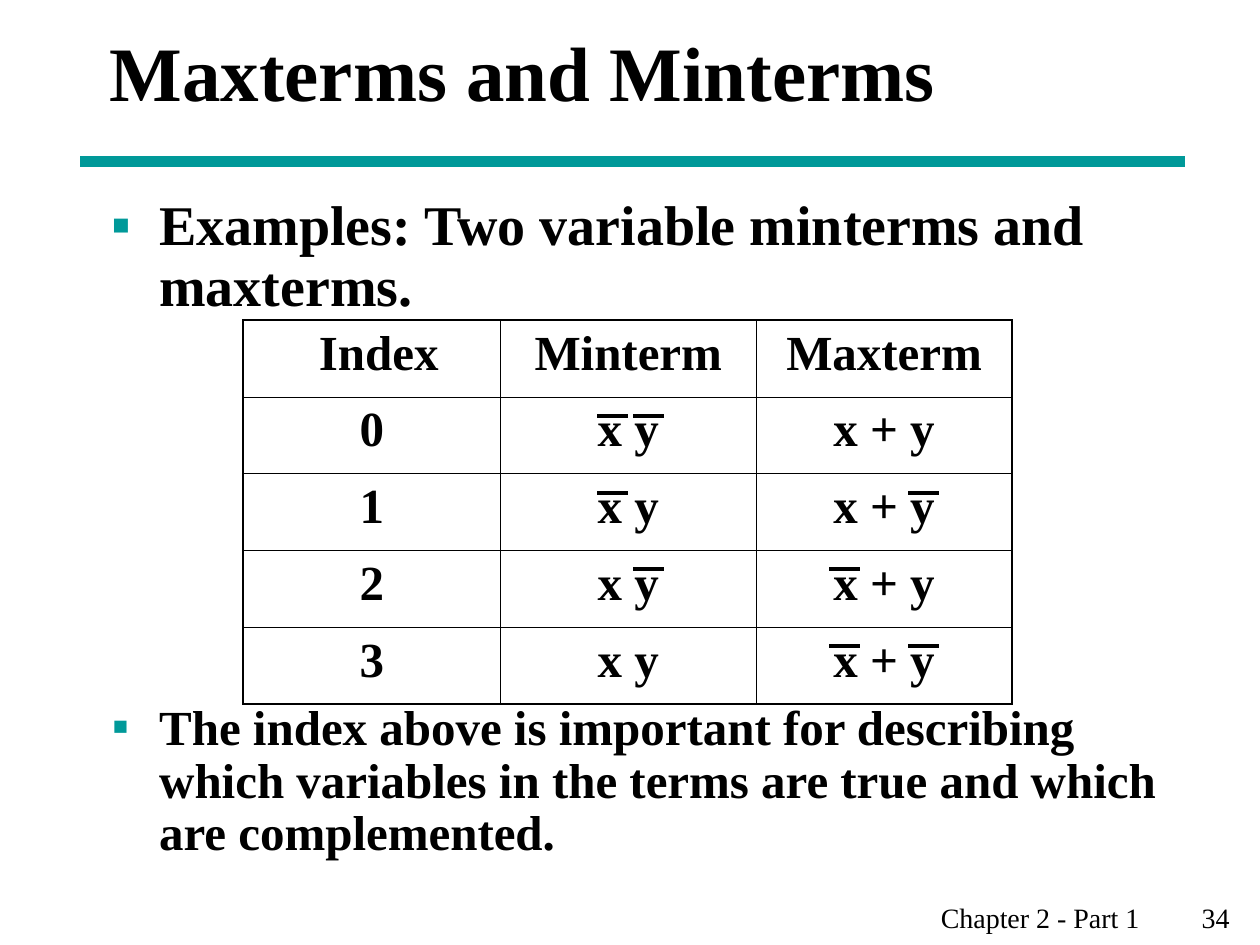
from lxml import etree
from pptx import Presentation
from pptx.dml.color import RGBColor
from pptx.enum.shapes import MSO_CONNECTOR
from pptx.enum.text import MSO_ANCHOR, PP_ALIGN
from pptx.oxml.ns import qn
from pptx.util import Pt

LINE = MSO_CONNECTOR.STRAIGHT
LEFT, CENTER = PP_ALIGN.LEFT, PP_ALIGN.CENTER
MIDDLE = MSO_ANCHOR.MIDDLE
FONT = "Times New Roman"
COLORS = {"text": "000000", "teal": "009999"}

TITLE = "Maxterms and Minterms"
# text, size, space before; the second gap leaves room for the table
POINTS = [
    ("Examples: Two variable minterms and maxterms.", 32, 8),
    ("The index above is important for describing which variables "
     "in the terms are true and which are complemented.", 28, 219.5),
]
HEADS = ["Index", "Minterm", "Maxterm"]
# index, complemented letters of the minterm, of the maxterm
TERMS = [("0", "xy", ""), ("1", "x", "y"), ("2", "y", "x"), ("3", "", "xy")]
FOOTER = ("Chapter 2 - Part 1", "34")

GRID = {"left": 139, "top": 182.9, "row": 43.9, "cols": [146.9, 146.2, 146.2]}
BAR = {"top": 237.6, "width": 17.3}
BAR_X = [{"x": 341.3, "y": 362}, {"x": 474, "y": 519}]  # minterm, maxterm


def add_run(par, text, size, bold=True):
    run = par.add_run()
    run.text = text
    font = run.font
    font.name, font.size, font.bold = FONT, Pt(size), bold
    font.color.rgb = RGBColor.from_string(COLORS["text"])


def add_box(slide, left, top, width, height):
    frame = slide.shapes.add_textbox(Pt(left), Pt(top), Pt(width), Pt(height)).text_frame
    frame.word_wrap = True
    return frame


def add_line(slide, left, top, width, weight, color):
    line = slide.shapes.add_connector(LINE, Pt(left), Pt(top), Pt(left + width), Pt(top))
    line.line.width = Pt(weight)
    line.line.color.rgb = RGBColor.from_string(COLORS[color])
    etree.SubElement(line._element.spPr, qn("a:effectLst"))


def add_bullet(par):
    props = par._p.get_or_add_pPr()
    props.set("marL", str(Pt(27)))
    props.set("indent", str(-Pt(27)))
    color = etree.SubElement(props, qn("a:buClr"))
    etree.SubElement(color, qn("a:srgbClr"), val=COLORS["teal"])
    etree.SubElement(props, qn("a:buFont"), typeface=FONT)
    etree.SubElement(props, qn("a:buChar"), char="▪")


def set_border(cell, weights):
    props = cell._tc.get_or_add_tcPr()
    for side, weight in weights.items():
        edge = etree.SubElement(props, qn("a:ln" + side), w=str(Pt(weight)))
        fill = etree.SubElement(edge, qn("a:solidFill"))
        etree.SubElement(fill, qn("a:srgbClr"), val=COLORS["text"])


def add_title(slide):
    title = slide.shapes.title
    title.left, title.top, title.width, title.height = Pt(55.4), Pt(0), Pt(612), Pt(80.6)
    title.text_frame.vertical_anchor = MIDDLE
    par = title.text_frame.paragraphs[0]
    par.alignment = LEFT
    add_run(par, TITLE, 44)


def add_points(slide):
    frame = add_box(slide, 56.9, 109.4, 612, 396)
    for i, (text, size, gap) in enumerate(POINTS):
        par = frame.add_paragraph() if i else frame.paragraphs[0]
        par.line_spacing, par.space_before = 0.9, Pt(gap)
        add_bullet(par)
        add_run(par, text, size)


def add_grid(slide):
    rows = [HEADS] + [(index, "x y", "x + y") for index, *_ in TERMS]
    cols, high = GRID["cols"], GRID["row"]
    shape = slide.shapes.add_table(len(rows), len(cols), Pt(GRID["left"]), Pt(GRID["top"]),
                                   Pt(sum(cols)), Pt(high * len(rows)))
    table = shape.table
    table.first_row = table.horz_banding = False
    for col, width in zip(table.columns, cols):
        col.width = Pt(width)
    for r, texts in enumerate(rows):
        table.rows[r].height = Pt(high)
        for c, text in enumerate(texts):
            cell = table.cell(r, c)
            outer = {"L": c == 0, "R": c == len(cols) - 1,
                     "T": r == 0, "B": r == len(rows) - 1}
            set_border(cell, {side: 1.08 if out else 0.45 for side, out in outer.items()})
            cell.fill.background()
            par = cell.text_frame.paragraphs[0]
            par.space_before = Pt(7)
            if text == HEADS[0]:
                par._p.get_or_add_pPr().set("marL", str(Pt(36)))
            else:
                par.alignment = CENTER
            add_run(par, text, 28)


def add_bars(slide):
    for r, (_, *terms) in enumerate(TERMS):
        for spots, letters in zip(BAR_X, terms):
            for letter in letters:
                add_line(slide, spots[letter], BAR["top"] + r * GRID["row"],
                         BAR["width"], 2.25, "text")


def add_footer(slide):
    par = add_box(slide, 530.6, 511.2, 187.2, 26.6).paragraphs[0]
    tabs = etree.SubElement(par._p.get_or_add_pPr(), qn("a:tabLst"))
    etree.SubElement(tabs, qn("a:tab"), pos=str(Pt(149)), algn="l")
    add_run(par, "\t".join(FOOTER), 16, False)


def main():
    deck = Presentation()
    deck.slide_width, deck.slide_height = Pt(720), Pt(540)
    slide = deck.slides.add_slide(deck.slide_layouts[5])
    add_line(slide, 46, 92.2, 631, 6, "teal")
    add_footer(slide)
    add_points(slide)
    add_title(slide)
    add_grid(slide)
    add_bars(slide)
    deck.save("out.pptx")


if __name__ == "__main__":
    main()
